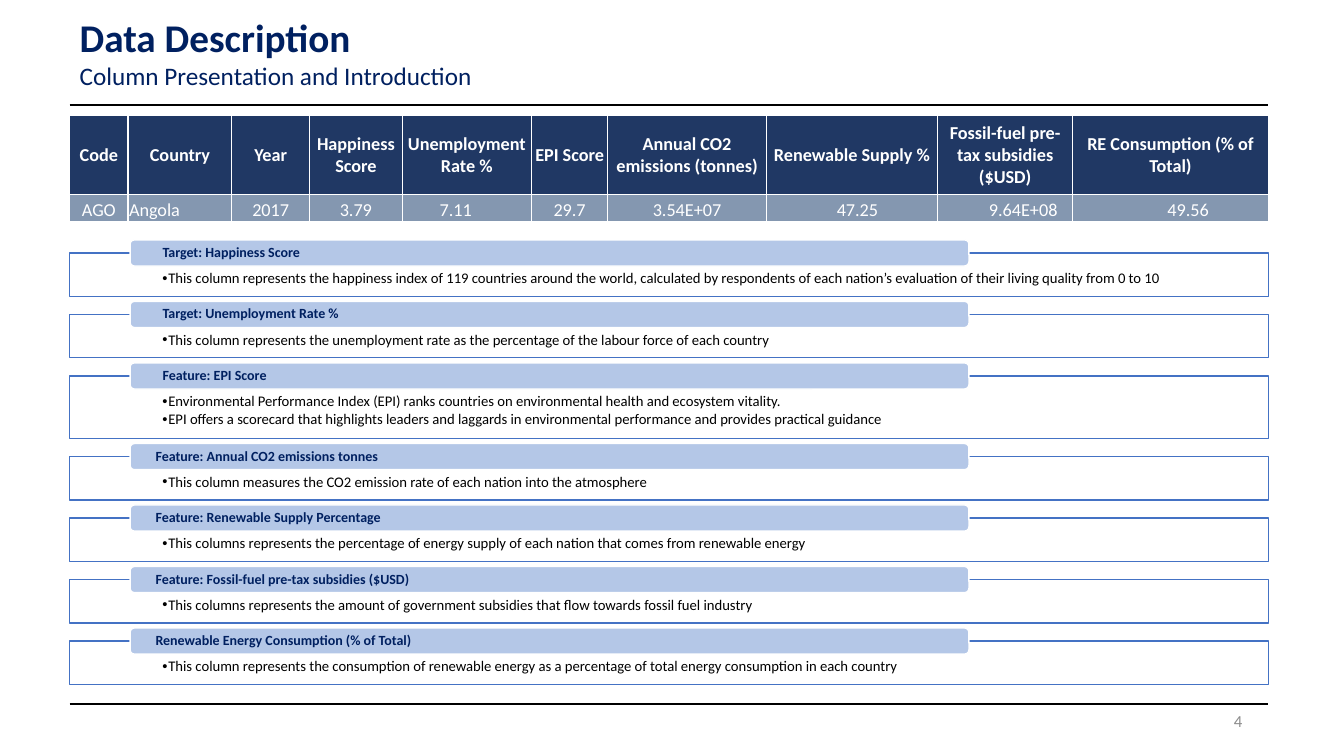
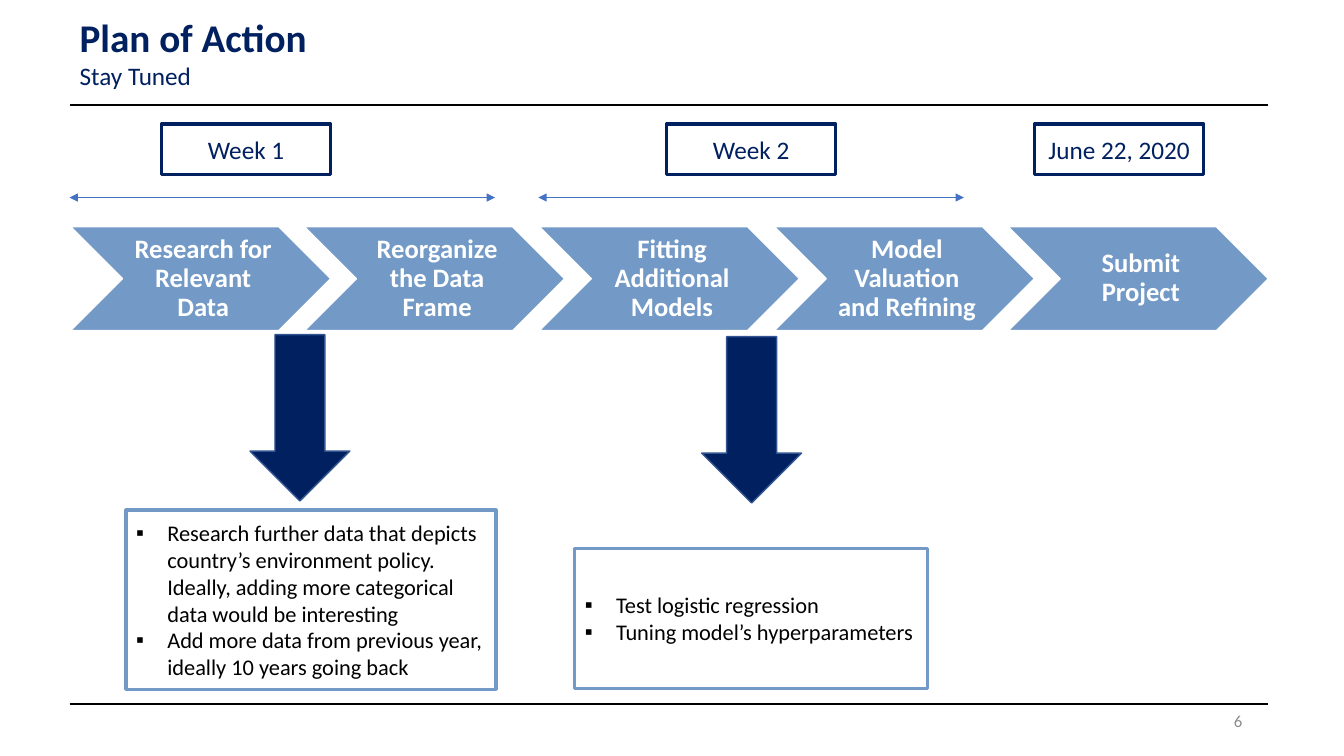
"""Build a data description slide and a plan of action slide."""
from lxml import etree
from pptx import Presentation, util as u
from pptx.dml.color import RGBColor
from pptx.enum import shapes, text
from pptx.oxml.ns import qn

PX = 9144
FONT = "Calibri"
HUE = {
    "navy": "002060", "head": "203864", "row": "8497B0", "blue": "4472C4",
    "pale": "B4C7E7", "steel": "7399C6", "edge": "325491",
    "gray": "8C8C8C", "black": "000000", "white": "FFFFFF",
}
RGB = {name: RGBColor.from_string(code) for name, code in HUE.items()}
KIND = shapes.MSO_SHAPE
ALIGN = text.PP_ALIGN
ANCHOR = text.MSO_ANCHOR


def write(host, words, size=18, hue="black", bold=False, align=ALIGN.LEFT,
          anchor=ANCHOR.MIDDLE, pad=(10, 5, 10, 5), space=1.0, after=0,
          bullet=None, hang=0):
    """Fill a shape or a cell with one paragraph for each string."""
    frame = host.text_frame
    frame.word_wrap = True
    frame.auto_size = text.MSO_AUTO_SIZE.NONE
    area = host if hasattr(host, "margin_left") else frame
    area.vertical_anchor = anchor
    for side, gap in zip(("left", "top", "right", "bottom"), pad):
        setattr(area, "margin_" + side, gap * PX)
    for i, line in enumerate([words] if isinstance(words, str) else words):
        para = frame.add_paragraph() if i else frame.paragraphs[0]
        para.alignment = align
        para.line_spacing = space
        para.space_before = u.Pt(0)
        para.space_after = u.Pt(after)
        run = para.add_run()
        run.text = line
        run.font.name = FONT
        run.font.size = u.Pt(size)
        run.font.bold = bold
        run.font.color.rgb = RGB[hue]
        if bullet:
            prop = para._p.get_or_add_pPr()
            prop.set("marL", str(hang * PX))
            prop.set("indent", str(-hang * PX))
            etree.SubElement(prop, qn("a:buFont"), typeface="Arial")
            etree.SubElement(prop, qn("a:buChar"), char=bullet)


def draw(slide, kind, box, fill=None, line="white", width=1):
    """Add a preset shape with a plain fill and outline."""
    shape = slide.shapes.add_shape(kind, *(n * PX for n in box))
    shape.shadow.inherit = False
    if fill:
        shape.fill.solid()
        shape.fill.fore_color.rgb = RGB[fill]
    else:
        shape.fill.background()
    shape.line.color.rgb = RGB[line]
    shape.line.width = u.Pt(width)
    return shape


deck = Presentation()
deck.slide_width, deck.slide_height = 1333 * PX, 750 * PX
data = deck.slides.add_slide(deck.slide_layouts[5])
plan = deck.slides.add_slide(deck.slide_layouts[3])

heads = [
    (data, "Data Description", "Column Presentation and Introduction", "4"),
    (plan, "Plan of Action", "Stay Tuned", "6"),
]
lines = [(plan, 69, 491, 196, "blue", 0.5, True),
         (plan, 534, 956, 196, "blue", 0.5, True)]
for slide, name, sub, page in heads:
    title = slide.shapes.title
    title.left, title.top, title.width, title.height = (
        n * PX for n in (69, 8, 555, 88))
    write(title, [name, sub], size=28, hue="navy", bold=True,
          anchor=ANCHOR.TOP)
    font = title.text_frame.paragraphs[1].runs[0].font
    font.size, font.bold = u.Pt(18), False
    foot = slide.shapes.add_textbox(*(n * PX for n in (942, 695, 300, 40)))
    write(foot, page, size=12, hue="gray", align=ALIGN.RIGHT)
    lines += [(slide, 69, 1258, y, "black", 1.5, False) for y in (104, 698)]

for slide, left, right, y, hue, width, tips in lines:
    rule = slide.shapes.add_connector(
        shapes.MSO_CONNECTOR.STRAIGHT, left * PX, y * PX, right * PX, y * PX)
    rule.line.color.rgb = RGB[hue]
    rule.line.width = u.Pt(width)
    prop = rule.element.spPr
    if tips:
        for end in ("a:headEnd", "a:tailEnd"):
            etree.SubElement(prop.find(qn("a:ln")), qn(end), type="triangle")
    etree.SubElement(prop, qn("a:effectLst"))

cols = [
    (58, "Code", "AGO"),
    (103, "Country", "Angola"),
    (77, "Year", "2017"),
    (92, "Happiness Score", "3.79"),
    (128, "Unemployment Rate %", "7.11"),
    (76, "EPI Score", "29.7"),
    (157, "Annual CO2 emissions (tonnes)", "3.54E+07"),
    (170, "Renewable Supply %", "47.25"),
    (134, "Fossil-fuel pre-tax subsidies ($USD)", "9.64E+08"),
    (194, "RE Consumption (% of Total)", "49.56"),
]
thin = (1, 1, 1, 0)
right = (ALIGN.RIGHT, (1, 1, 59, 0))
odd = {1: (ALIGN.LEFT, thin), 4: right, 7: right,
       8: (ALIGN.LEFT, (51, 1, 1, 0)), 9: right}
grid = data.shapes.add_table(
    2, len(cols), 69 * PX, 114 * PX, 1189 * PX, 106 * PX).table
grid.first_row = grid.horz_banding = False
for row, high in zip(grid.rows, (79, 27)):
    row.height = high * PX
for c, (wide, *words) in enumerate(cols):
    grid.columns[c].width = wide * PX
    for r, word in enumerate(words):
        cell = grid.cell(r, c)
        prop = cell._tc.get_or_add_tcPr()
        for side in "LRTB":
            edge = etree.SubElement(prop, qn("a:ln" + side), w=str(u.Pt(1)))
            fill = etree.SubElement(edge, qn("a:solidFill"))
            etree.SubElement(fill, qn("a:srgbClr"), val=HUE["white"])
        cell.fill.solid()
        cell.fill.fore_color.rgb = RGB["row" if r else "head"]
        align, pad = odd.get(c, (ALIGN.CENTER, thin)) if r else (
            ALIGN.CENTER, thin)
        write(cell, word, size=13, hue="white", bold=not r, align=align,
              anchor=ANCHOR.BOTTOM if r else ANCHOR.MIDDLE, pad=pad)

notes = [
    ("Target: Happiness Score", 31,
     ["This column represents the happiness index of 119 countries around "
      "the world, calculated by respondents of each nation’s evaluation of "
      "their living quality from 0 to 10"]),
    ("Target: Unemployment Rate %", 31,
     ["This column represents the unemployment rate as the percentage of "
      "the labour force of each country"]),
    ("Feature: EPI Score", 31,
     ["Environmental Performance Index (EPI) ranks countries on "
      "environmental health and ecosystem vitality.",
      "EPI offers a scorecard that highlights leaders and laggards in "
      "environmental performance and provides practical guidance"]),
    ("Feature: Annual CO2 emissions tonnes", 24,
     ["This column measures the CO2 emission rate of each nation into the "
      "atmosphere"]),
    ("Feature: Renewable Supply Percentage", 24,
     ["This columns represents the percentage of energy supply of each "
      "nation that comes from renewable energy"]),
    ("Feature: Fossil-fuel pre-tax subsidies ($USD)", 24,
     ["This columns represents the amount of government subsidies that flow "
      "towards fossil fuel industry"]),
    ("Renewable Energy Consumption (% of Total)", 24,
     ["This column represents the consumption of renewable energy as a "
      "percentage of total energy consumption in each country"]),
]
top = 251
for name, inset, items in notes:
    high = 24 + 19 * len(items)
    panel = draw(data, KIND.RECTANGLE, (69, top, 1189, high), "white", "blue")
    write(panel, items, size=10.5, anchor=ANCHOR.TOP, pad=(92, 18, 92, 9),
          space=0.9, after=1.6, bullet="•", hang=6)
    tab = draw(data, KIND.ROUNDED_RECTANGLE, (129, top - 13, 832, 26), "pale")
    write(tab, name, size=10, hue="navy", bold=True, pad=(inset, 0, inset, 0),
          space=0.9)
    top += high + 18

steps = ["Research for Relevant Data", "Reorganize the Data Frame",
         "Fitting Additional Models", "Model Valuation and Refining",
         "Submit Project"]
for i, step in enumerate(steps):
    left = 70 + round(232.5 * i)
    arrow = draw(plan, KIND.CHEVRON, (left, 225, 258, 103), "steel")
    write(arrow, step, size=19, hue="white", bold=True, align=ALIGN.CENTER,
          pad=(8, 3, 3, 3), space=0.9)

for left, date in ((160, "Week 1"), (661, "Week 2"), (1026, "June 22, 2020")):
    label = draw(plan, KIND.RECTANGLE, (left, 123, 168, 50), None, "navy", 2.25)
    write(label, date, hue="navy", align=ALIGN.CENTER)

for left, top in ((248, 332), (696, 334)):
    draw(plan, KIND.DOWN_ARROW, (left, top, 99, 165), "navy", "edge")

tasks = [
    ((125, 506, 367, 178),
     ["Research further data that depicts country’s environment policy. "
      "Ideally, adding more categorical data would be interesting",
      "Add more data from previous year, ideally 10 years going back"]),
    ((570, 544, 350, 139),
     ["Test logistic regression", "Tuning model’s hyperparameters"]),
]
for slot, (box, items) in enumerate(tasks, 1):
    body = plan.placeholders[slot]
    body.left, body.top, body.width, body.height = (n * PX for n in box)
    body.line.color.rgb = RGB["steel"]
    body.line.width = u.Pt(2.25)
    write(body, items, size=16, bullet="▪", hang=31)

deck.save("out.pptx")
